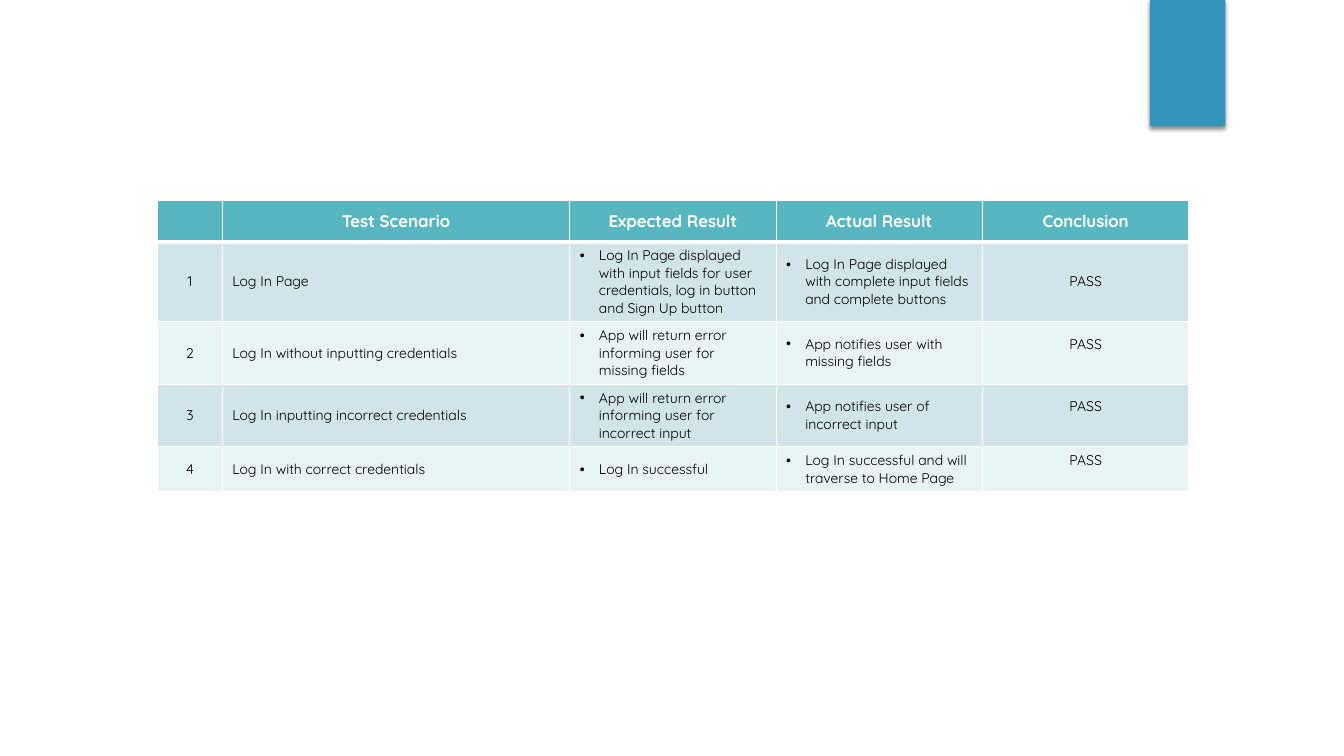
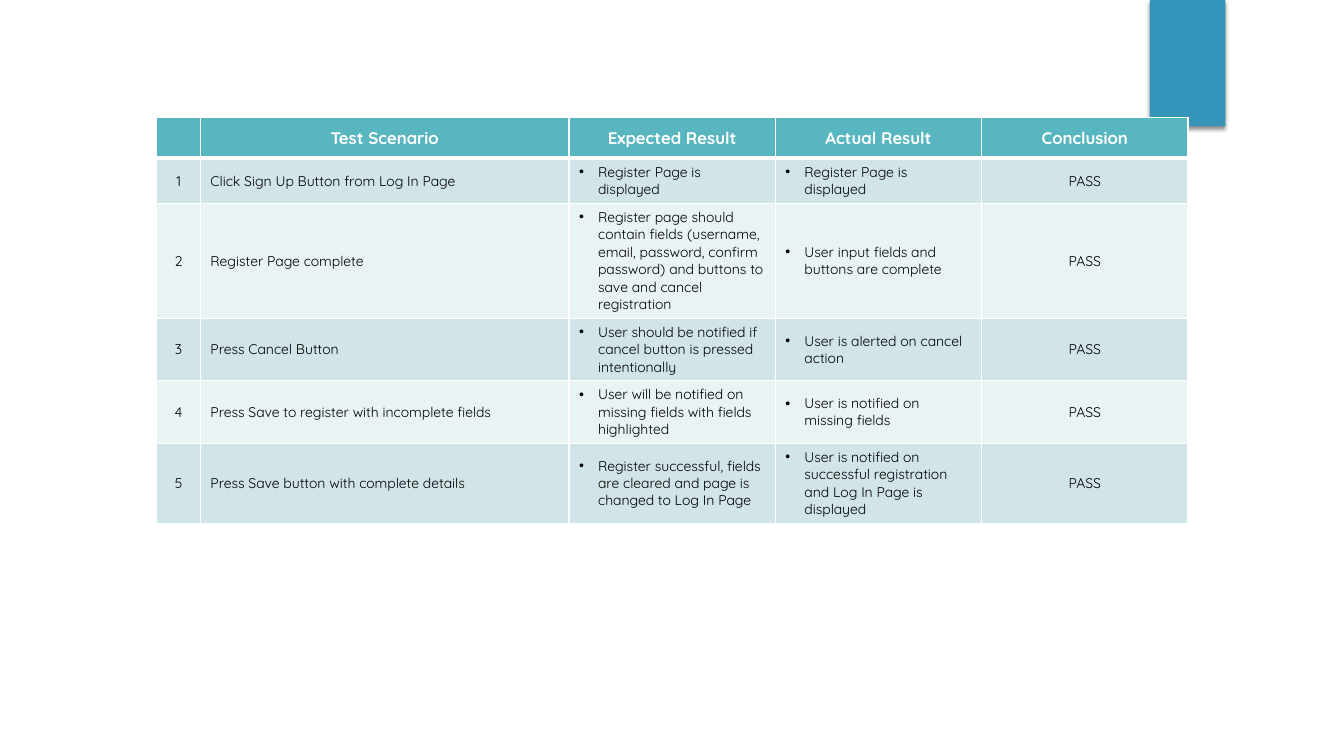
from dataclasses import dataclass
from pptx import Presentation
from pptx.dml.color import RGBColor
from pptx.enum.shapes import MSO_SHAPE as SHAPE
from pptx.enum.text import MSO_ANCHOR as ANCHOR, PP_ALIGN as ALIGN
from pptx.oxml import parse_xml
from pptx.oxml.ns import nsdecls
from pptx.util import Cm, Pt

COLORS = {
    "tab": "3494BA",
    "header": "58B6C0",
    "odd": "D1E5E8",
    "even": "EAF3F4",
    "border": "FFFFFF",
    "header_text": "FFFFFF",
    "text": "000000",
    "shadow": "000000",
}
FONT = "Quicksand"
HEADERS = ["", "Test Scenario", "Expected Result", "Actual Result", "Conclusion"]
HEADER_FORMAT = {"name": FONT, "size": Pt(12), "bold": True}
BODY_FORMAT = {"name": FONT, "size": Pt(10), "bold": False}
BULLET_COLUMNS = (2, 3)
RESULT_WIDTH = 5.2
ROW_HEIGHT = 1.03
INDENT = Cm(0.48)
RAISED_MARGIN = Cm(0.57)


@dataclass
class Case:
    scenario: str
    expected: str
    actual: str
    raised: bool = False


@dataclass
class TestTable:
    left: float
    top: float
    number_width: float
    scenario_width: float
    cases: list[Case]


LOG_IN = TestTable(3.97, 5.06, 1.63, 8.76, [
    Case("Log In Page",
         "Log In Page displayed with input fields for user credentials, log in button and Sign Up button",
         "Log In Page displayed with complete input fields and complete buttons"),
    Case("Log In without inputting credentials",
         "App will return error informing user for missing fields",
         "App notifies user with missing fields", True),
    Case("Log In inputting incorrect credentials",
         "App will return error informing user for incorrect input",
         "App notifies user of incorrect input", True),
    Case("Log In with correct credentials",
         "Log In successful",
         "Log In successful and will traverse to Home Page", True),
])
REGISTER = TestTable(3.95, 2.96, 1.1, 9.29, [
    Case("Click Sign Up Button from Log In Page",
         "Register Page is displayed",
         "Register Page is displayed"),
    Case("Register Page complete",
         "Register page should contain fields (username, email, password, confirm password) "
         "and buttons to save and cancel registration",
         "User input fields and buttons are complete"),
    Case("Press Cancel Button",
         "User should be notified if cancel button is pressed intentionally",
         "User is alerted on cancel action"),
    Case("Press Save to register with incomplete fields",
         "User will be notified on missing fields with fields highlighted",
         "User is notified on missing fields"),
    Case("Press Save button with complete details",
         "Register successful, fields are cleared and page is changed to Log In Page",
         "User is notified on successful registration and Log In Page is displayed"),
])


def rgb(name: str) -> RGBColor:
    return RGBColor.from_string(COLORS[name])


def add_tab(s) -> None:
    sp = s.shapes.add_shape(SHAPE.RECTANGLE, Cm(28.98), Cm(0), Cm(1.9), Cm(3.18))
    sp.fill.solid()
    sp.fill.fore_color.rgb = rgb("tab")
    sp.line.fill.background()
    sp._element.spPr.append(parse_xml(
        f'<a:effectLst {nsdecls("a")}>'
        f'<a:outerShdw blurRad="{Pt(3)}" dist="{Pt(2)}" dir="5400000" rotWithShape="0">'
        f'<a:srgbClr val="{COLORS["shadow"]}"><a:alpha val="45000"/></a:srgbClr>'
        '</a:outerShdw></a:effectLst>'))


def set_borders(cell, row: int) -> None:
    widths = {"L": 1, "R": 1, "T": 3 if row == 1 else 1, "B": 3 if row == 0 else 1}
    tc_pr = cell._tc.get_or_add_tcPr()
    for side, width in widths.items():
        tc_pr.append(parse_xml(
            f'<a:ln{side} {nsdecls("a")} w="{Pt(width)}"><a:solidFill>'
            f'<a:srgbClr val="{COLORS["border"]}"/></a:solidFill></a:ln{side}>'))


def add_bullet(p) -> None:
    p_pr = p._p.get_or_add_pPr()
    p_pr.set("marL", str(INDENT))
    p_pr.set("indent", str(-INDENT))
    p_pr.append(parse_xml(f'<a:buFont {nsdecls("a")} typeface="Arial"/>'))
    p_pr.append(parse_xml(f'<a:buChar {nsdecls("a")} char="•"/>'))


def fill_cell(cell, text: str, row: int, col: int) -> None:
    header = row == 0
    set_borders(cell, row)
    cell.fill.solid()
    cell.fill.fore_color.rgb = rgb("header" if header else "odd" if row % 2 else "even")
    cell.vertical_anchor = ANCHOR.MIDDLE
    if not text:
        return
    p = cell.text_frame.paragraphs[0]
    p.alignment = ALIGN.CENTER if header or col in (0, 4) else ALIGN.LEFT
    if not header and col in BULLET_COLUMNS:
        add_bullet(p)
    r = p.add_run()
    r.text = text
    for key, value in (HEADER_FORMAT if header else BODY_FORMAT).items():
        setattr(r.font, key, value)
    r.font.color.rgb = rgb("header_text" if header else "text")


def add_test_table(s, spec: TestTable) -> None:
    widths = [spec.number_width, spec.scenario_width] + [RESULT_WIDTH] * 3
    rows = [HEADERS] + [[str(n), c.scenario, c.expected, c.actual, "PASS"]
                        for n, c in enumerate(spec.cases, 1)]
    table = s.shapes.add_table(len(rows), len(widths), Cm(spec.left), Cm(spec.top),
                               Cm(sum(widths)), Cm(ROW_HEIGHT * len(rows))).table
    for column, width in zip(table.columns, widths):
        column.width = Cm(width)
    for i, texts in enumerate(rows):
        table.rows[i].height = Cm(ROW_HEIGHT)
        for j, text in enumerate(texts):
            fill_cell(table.cell(i, j), text, i, j)
    for i, case in enumerate(spec.cases, 1):
        if case.raised:
            table.cell(i, 4).margin_bottom = RAISED_MARGIN


def main() -> None:
    prs = Presentation()
    prs.slide_width, prs.slide_height = Cm(33.87), Cm(19.05)
    for test_table in (LOG_IN, REGISTER):
        s = prs.slides.add_slide(prs.slide_layouts[6])
        add_tab(s)
        add_test_table(s, test_table)
    prs.save("out.pptx")


if __name__ == "__main__":
    main()
